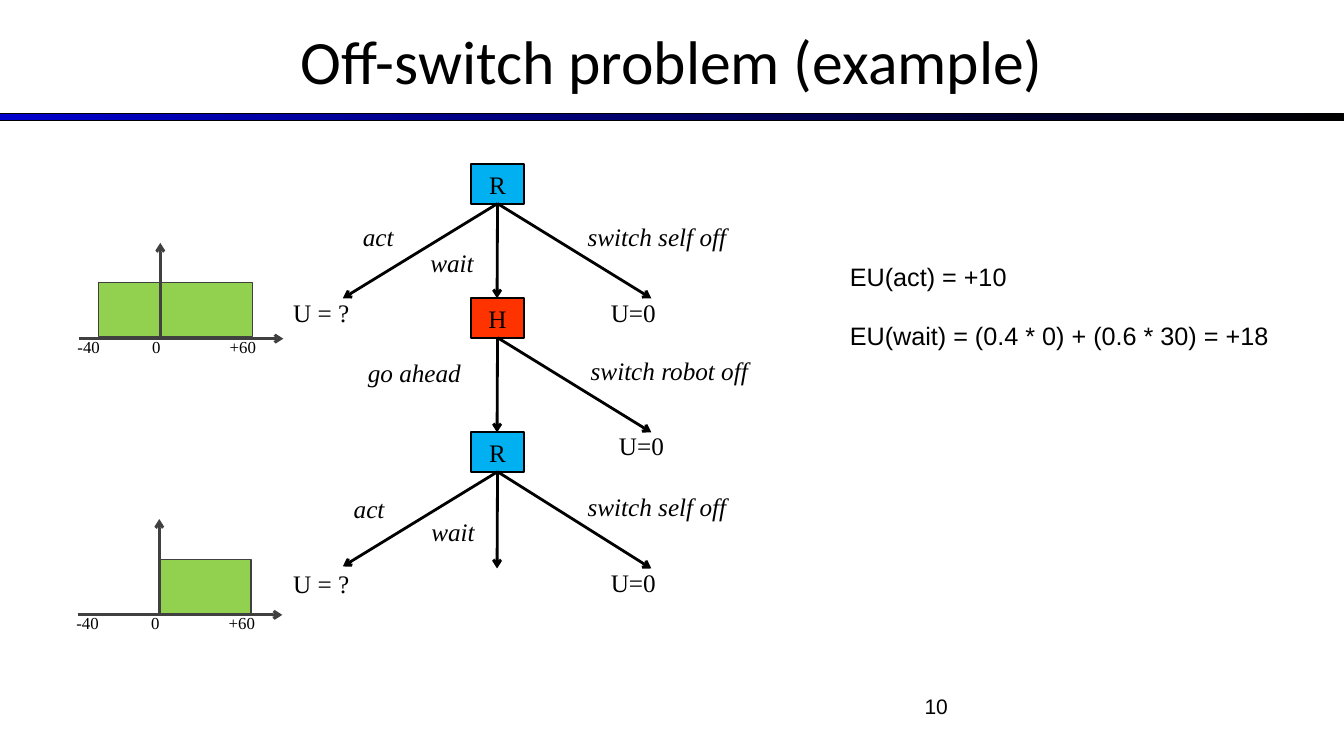
from lxml import etree
from pptx import Presentation
from pptx import util as u
from pptx.dml.color import RGBColor
from pptx.enum import shapes, text
from pptx.oxml.ns import qn

BLACK = RGBColor(0x00, 0x00, 0x00)
BLUE = RGBColor(0x00, 0x00, 0xCC)
ROBOT = RGBColor(0x00, 0xB0, 0xF0)
HUMAN = RGBColor(0xFF, 0x33, 0x00)
GREEN = RGBColor(0x92, 0xD0, 0x50)
GREY = RGBColor(0x40, 0x40, 0x40)
SERIF = "Times New Roman"
LEFT, CENTER, RIGHT = text.PP_ALIGN.LEFT, text.PP_ALIGN.CENTER, text.PP_ALIGN.RIGHT

# Content
TITLE = "Off-switch problem (example)"
PAGE = "10"
EQUATIONS = ["EU(act) = +10", "EU(wait) = (0.4 * 0) + (0.6 * 30) = +18"]

# Decision nodes: letter, colour, top, arrow ends
NODES = [
    ("R", ROBOT, 1.63, [(3.4, 2.96), (4.93, 2.96), (6.46, 2.96)]),
    ("H", HUMAN, 2.96, [(4.93, 4.29), (6.46, 4.29)]),
    ("R", ROBOT, 4.29, [(3.4, 5.62), (4.93, 5.64), (6.46, 5.64)]),
]
NODE_X, NODE_W, NODE_H = 4.67, 0.53, 0.39

# Labels: wording, left, top, width
ACTIONS = [
    ("act", 3.5, 2.15, 0.76), ("wait", 4.17, 2.4, 0.84),
    ("switch self off", 5.73, 2.15, 2.14),
    ("go ahead", 3.55, 3.5, 1.56), ("switch robot off", 5.76, 3.48, 2.38),
    ("act", 3.41, 4.84, 0.76), ("wait", 4.18, 5.07, 0.84),
    ("switch self off", 5.73, 4.82, 2.14),
]
UTILITIES = [
    ("U = ?", 2.81, 2.9, 0.97), ("U=0", 5.96, 2.9, 0.83),
    ("U=0", 6.04, 4.22, 0.83),
    ("U = ?", 2.81, 5.59, 0.97), ("U=0", 5.96, 5.58, 0.83),
]

# Utility distributions: axis left, axis height, bar left, bar top, bar width
PLOTS = [(0.78, 3.36, 0.98, 2.8, 1.52), (0.77, 6.1, 1.58, 5.55, 0.91)]
TICKS = [("-40", -0.11, 0.54), ("0", 0.63, 0.36), ("+60", 1.4, 0.59)]

prs = Presentation()
prs.slide_width, prs.slide_height = u.Inches(13.33), u.Inches(7.5)
s = prs.slides.add_slide(prs.slide_layouts[6])


def write(sp, lines, size, font=SERIF, align=LEFT, anchor=text.MSO_ANCHOR.TOP,
          italic=False, gap=0):
    tf = sp.text_frame
    tf.word_wrap, tf.vertical_anchor = True, anchor
    style = {"size": u.Pt(size), "name": font, "italic": italic}
    for i, line in enumerate(lines):
        p = tf.paragraphs[0] if i == 0 else tf.add_paragraph()
        p.alignment = align
        p.space_before = u.Pt(gap if i else 0)
        r = p.add_run()
        r.text = line
        for name, value in style.items():
            setattr(r.font, name, value)
        r.font.color.rgb = BLACK


def label(lines, x, y, w, h, size, **style):
    sp = s.shapes.add_textbox(*map(u.Inches, (x, y, w, h)))
    write(sp, lines, size, **style)


def box(x, y, w, h, fill, line, weight):
    sp = s.shapes.add_shape(shapes.MSO_SHAPE.RECTANGLE, *map(u.Inches, (x, y, w, h)))
    sp.shadow.inherit = False
    if fill:
        sp.fill.solid()
        sp.fill.fore_color.rgb = fill
    sp.line.color.rgb, sp.line.width = line, u.Pt(weight)
    return sp


def arrow(x1, y1, x2, y2, color):
    c = s.shapes.add_connector(shapes.MSO_CONNECTOR.STRAIGHT,
                               *map(u.Inches, (x1, y1, x2, y2)))
    c.line.color.rgb, c.line.width = color, u.Pt(2)
    props = c._element.spPr
    etree.SubElement(props.find(qn("a:ln")), qn("a:tailEnd"), type="arrow")
    etree.SubElement(props, qn("a:effectLst"))


# Title, rule and page number
rule = box(0, 1.13, 13.33, 0.07, None, BLACK, 0.75)
rule.fill.gradient()
rule.fill.gradient_angle = 0
for stop, color in zip(rule.fill.gradient_stops, (BLUE, BLACK)):
    stop.color.rgb = color
label([TITLE], 0, -0.03, 13.33, 1.25, 44, font="Calibri", align=CENTER,
      anchor=text.MSO_ANCHOR.MIDDLE)
label([PAGE], 7.17, 6.83, 2.33, 0.52, 15, font="Arial", align=RIGHT)

# Decision tree
for letter, color, top, ends in NODES:
    sp = box(NODE_X, top, NODE_W, NODE_H, color, BLACK, 1.5)
    write(sp, [letter], 18, align=CENTER, anchor=text.MSO_ANCHOR.MIDDLE)
    for end in ends:
        arrow(NODE_X + NODE_W / 2, top + NODE_H, *end, BLACK)
for labels, italic in ((ACTIONS, True), (UTILITIES, False)):
    for words, x, y, w in labels:
        label([words], x, y, w, 0.51, 18, italic=italic)

# Utility distributions
for x, y, bar_x, bar_y, bar_w in PLOTS:
    box(bar_x, bar_y, bar_w, 0.54, GREEN, GREY, 0.75)
    arrow(x, y, x + 2.03, y, GREY)
    arrow(x + 0.81, y - 0.02, x + 0.81, y - 0.95, GREY)
    for words, dx, w in TICKS:
        label([words], x + dx, y - 0.07, w, 0.39, 12)

# Expected utilities
label(EQUATIONS, 8.33, 2.54, 4.68, 1.01, 18, font="Arial", gap=21)

prs.save("out.pptx")
